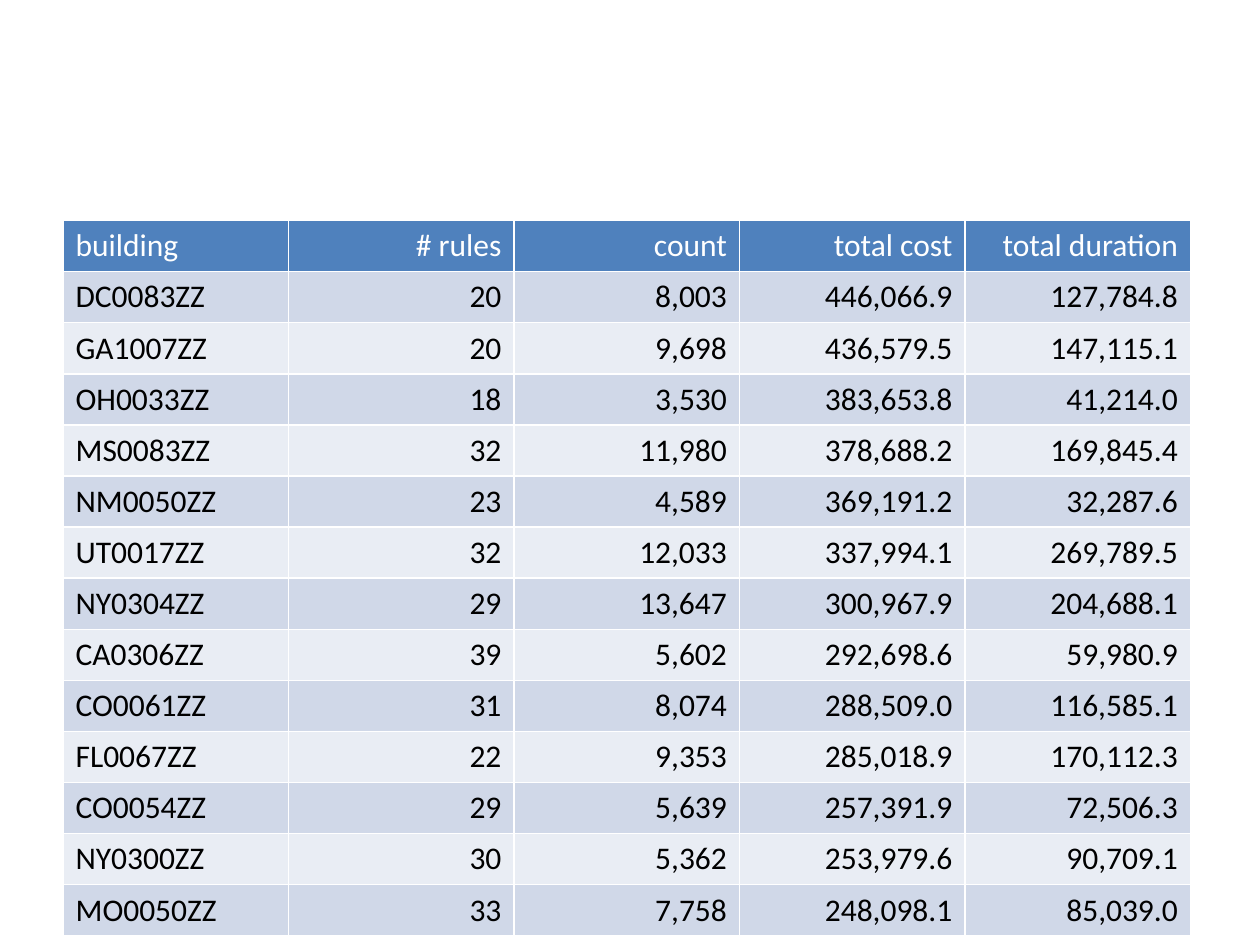
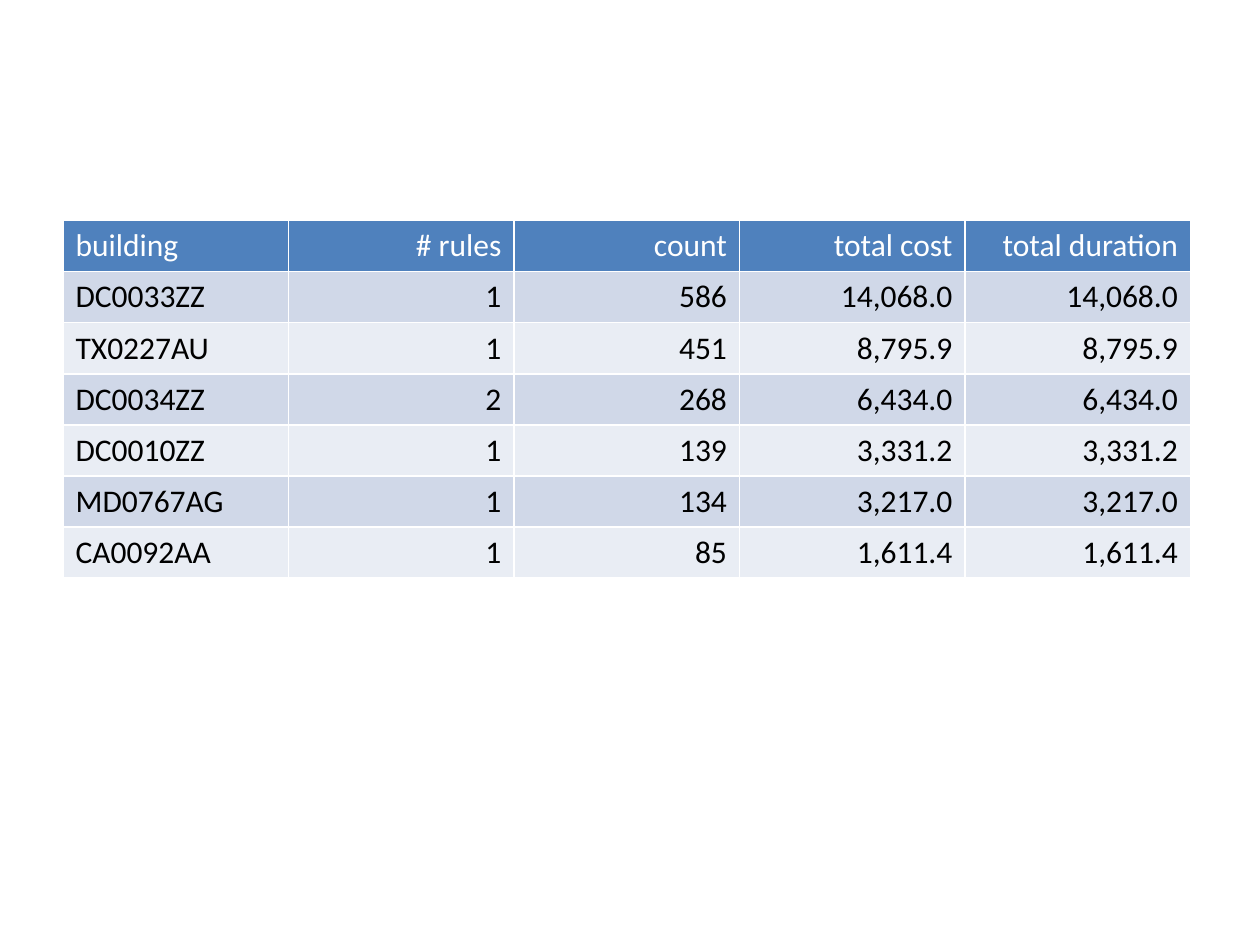
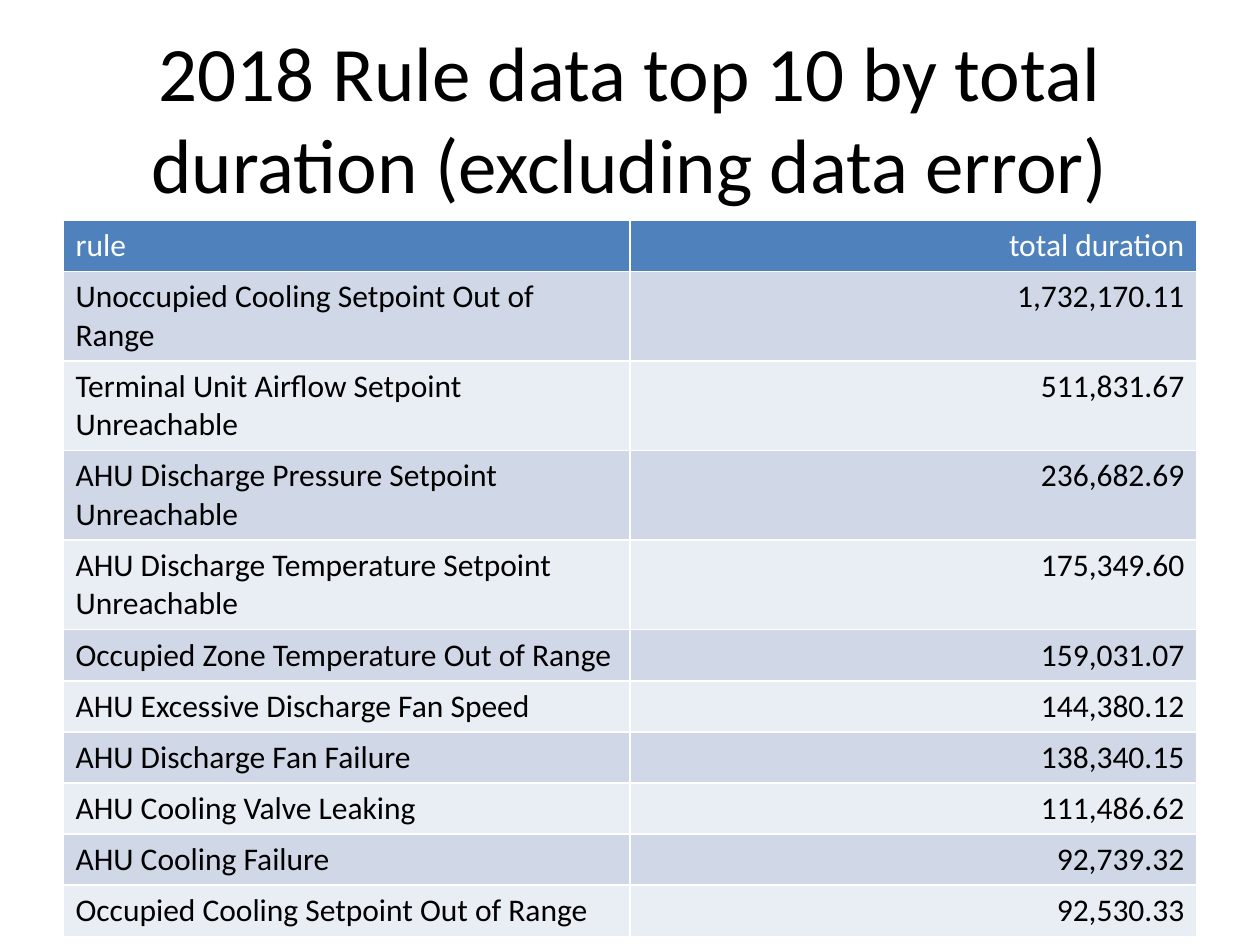
from pptx import Presentation
from pptx.dml.color import RGBColor
from pptx.enum.text import MSO_ANCHOR, PP_ALIGN
from pptx.util import Inches, Pt

COLORS = {
    "header": "4F81BD",
    "odd_band": "D0D8E8",
    "even_band": "E9EDF4",
    "header_text": "FFFFFF",
    "text": "000000",
}
FONT = "Calibri"
TITLE_SIZE, TABLE_SIZE = 44, 18
TITLE_ONLY, BLANK = 5, 6

SLIDE_WIDTH, SLIDE_HEIGHT = 10, 7.5
MARGIN = 0.05 * SLIDE_WIDTH
TITLE_BOX = (MARGIN, 0.04 * SLIDE_HEIGHT, 0.9 * SLIDE_WIDTH, SLIDE_HEIGHT / 6)
TABLE_TOP = 1.75
ROW_HEIGHT = 0.4  # rows grow to fit their text
BUILDING_COLUMN, RULE_COLUMN = 1.79, 4.5

BUILDING_HEADER = ("building", "# rules", "count", "total cost", "total duration")
COSTLIEST_BUILDINGS = [
    ("DC0083ZZ", "20", "8,003", "446,066.9", "127,784.8"),
    ("GA1007ZZ", "20", "9,698", "436,579.5", "147,115.1"),
    ("OH0033ZZ", "18", "3,530", "383,653.8", "41,214.0"),
    ("MS0083ZZ", "32", "11,980", "378,688.2", "169,845.4"),
    ("NM0050ZZ", "23", "4,589", "369,191.2", "32,287.6"),
    ("UT0017ZZ", "32", "12,033", "337,994.1", "269,789.5"),
    ("NY0304ZZ", "29", "13,647", "300,967.9", "204,688.1"),
    ("CA0306ZZ", "39", "5,602", "292,698.6", "59,980.9"),
    ("CO0061ZZ", "31", "8,074", "288,509.0", "116,585.1"),
    ("FL0067ZZ", "22", "9,353", "285,018.9", "170,112.3"),
    ("CO0054ZZ", "29", "5,639", "257,391.9", "72,506.3"),
    ("NY0300ZZ", "30", "5,362", "253,979.6", "90,709.1"),
    ("MO0050ZZ", "33", "7,758", "248,098.1", "85,039.0"),
]
FEW_RULE_BUILDINGS = [
    ("DC0033ZZ", "1", "586", "14,068.0", "14,068.0"),
    ("TX0227AU", "1", "451", "8,795.9", "8,795.9"),
    ("DC0034ZZ", "2", "268", "6,434.0", "6,434.0"),
    ("DC0010ZZ", "1", "139", "3,331.2", "3,331.2"),
    ("MD0767AG", "1", "134", "3,217.0", "3,217.0"),
    ("CA0092AA", "1", "85", "1,611.4", "1,611.4"),
]
RULE_HEADER = ("rule", "total duration")
LONGEST_RULES = [
    ("Unoccupied Cooling Setpoint Out of Range", "1,732,170.11"),
    ("Terminal Unit Airflow Setpoint Unreachable", "511,831.67"),
    ("AHU Discharge Pressure Setpoint Unreachable", "236,682.69"),
    ("AHU Discharge Temperature Setpoint Unreachable", "175,349.60"),
    ("Occupied Zone Temperature Out of Range", "159,031.07"),
    ("AHU Excessive Discharge Fan Speed", "144,380.12"),
    ("AHU Discharge Fan Failure", "138,340.15"),
    ("AHU Cooling Valve Leaking", "111,486.62"),
    ("AHU Cooling Failure", "92,739.32"),
    ("Occupied Cooling Setpoint Out of Range", "92,530.33"),
]
RULE_TITLE = "2018 Rule data top 10 by total duration (excluding data error)"


def rgb(name):
    return RGBColor.from_string(COLORS[name])


def format_text(para, size, color, align):
    para.alignment = align
    for span in para.runs:
        span.font.name = FONT
        span.font.size = Pt(size)
        span.font.bold = False
        span.font.color.rgb = rgb(color)


def set_title(page, text, box):
    title = page.shapes.title
    title.left, title.top, title.width, title.height = map(Inches, box)
    title.text_frame.text = text
    title.text_frame.vertical_anchor = MSO_ANCHOR.MIDDLE
    format_text(title.text_frame.paragraphs[0], TITLE_SIZE, "text", PP_ALIGN.CENTER)


def fill_cell(cell, text, row, column):
    """Style a cell by its place: header on top, then bands; figures align right."""
    band = "header" if row == 0 else "odd_band" if row % 2 else "even_band"
    cell.fill.solid()
    cell.fill.fore_color.rgb = rgb(band)
    cell.text_frame.text = text
    format_text(cell.text_frame.paragraphs[0], TABLE_SIZE,
                "text" if row else "header_text",
                PP_ALIGN.RIGHT if column else PP_ALIGN.LEFT)


def add_data_table(page, header, records, left, top, column_width):
    rows = [header, *records]
    width, height = column_width * len(header), ROW_HEIGHT * len(rows)
    table = page.shapes.add_table(len(rows), len(header), Inches(left), Inches(top),
                                  Inches(width), Inches(height)).table
    for row, record in enumerate(rows):
        for column, text in enumerate(record):
            fill_cell(table.cell(row, column), text, row, column)


def add_table_slide(deck, header, records, column_width, title=None):
    page = deck.slides.add_slide(deck.slide_layouts[TITLE_ONLY if title else BLANK])
    if title:
        set_title(page, title, TITLE_BOX)
    add_data_table(page, header, records, MARGIN, TABLE_TOP, column_width)


def main():
    deck = Presentation()
    deck.slide_width, deck.slide_height = Inches(SLIDE_WIDTH), Inches(SLIDE_HEIGHT)
    add_table_slide(deck, BUILDING_HEADER, COSTLIEST_BUILDINGS, BUILDING_COLUMN)
    add_table_slide(deck, BUILDING_HEADER, FEW_RULE_BUILDINGS, BUILDING_COLUMN)
    add_table_slide(deck, RULE_HEADER, LONGEST_RULES, RULE_COLUMN, RULE_TITLE)
    deck.save("out.pptx")


if __name__ == "__main__":
    main()
